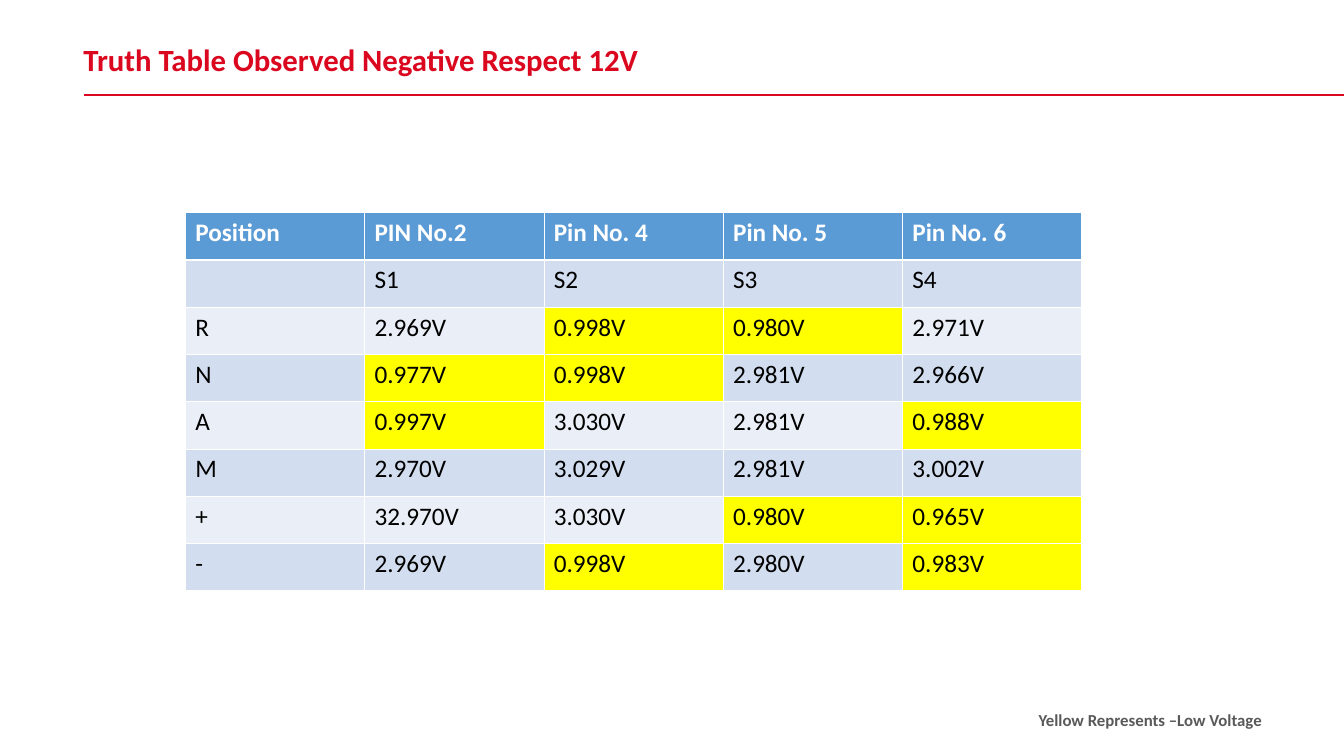
from lxml.etree import SubElement
from pptx import Presentation
from pptx.dml.color import RGBColor
from pptx.enum.shapes import MSO_CONNECTOR
from pptx.enum.text import MSO_ANCHOR, PP_ALIGN
from pptx.oxml.ns import qn
from pptx.util import Cm, Pt

TITLE = "Truth Table Observed Negative Respect 12V"
LEGEND = "Yellow Represents –Low Voltage"
READINGS = [
    ("Position", "PIN No.2", "Pin No. 4", "Pin No. 5", "Pin No. 6"),
    ("", "S1", "S2", "S3", "S4"),
    ("R", "2.969V", "0.998V", "0.980V", "2.971V"),
    ("N", "0.977V", "0.998V", "2.981V", "2.966V"),
    ("A", "0.997V", "3.030V", "2.981V", "0.988V"),
    ("M", "2.970V", "3.029V", "2.981V", "3.002V"),
    ("+", "32.970V", "3.030V", "0.980V", "0.965V"),
    ("-", "2.969V", "0.998V", "2.980V", "0.983V"),
]
COLORS = {
    "red": "DA071F",
    "header": "5B9BD5",
    "band_dark": "D2DEEF",
    "band_light": "EAEFF7",
    "low": "FFFF00",
    "white": "FFFFFF",
    "black": "000000",
    "gray": "595959",
}
COLUMN_WIDTH, ROW_HEIGHT = 4.52, 1.19
THIN, THICK = 0.45, 1.47


def rgb(name):
    return RGBColor.from_string(COLORS[name])


def write(frame, text, size, color, bold):
    frame.text = text
    paragraph = frame.paragraphs[0]
    paragraph.alignment = PP_ALIGN.LEFT
    for font in [paragraph.font] + [run.font for run in paragraph.runs]:
        font.name = "Calibri"
        font.size = Pt(size)
        font.bold = bold
        font.color.rgb = rgb(color)


def add_borders(cell, top, bottom):
    properties = cell._tc.get_or_add_tcPr()
    for side, width in (("L", THIN), ("R", THIN), ("T", top), ("B", bottom)):
        border = SubElement(properties, qn(f"a:ln{side}"), w=str(Pt(width)))
        fill = SubElement(border, qn("a:solidFill"))
        SubElement(fill, qn("a:srgbClr"), val=COLORS["white"])


def cell_color(row, text):
    if row == 0:
        return "header"
    if text.startswith("0."):
        return "low"
    return "band_dark" if row % 2 else "band_light"


def add_title(slide):
    title = slide.shapes.title
    title.left, title.top, title.width, title.height = Cm(1.85), Cm(0.91), Cm(17.35), Cm(1.19)
    title.text_frame.vertical_anchor = MSO_ANCHOR.TOP
    write(title.text_frame, TITLE, 22, "red", True)
    title.text_frame.paragraphs[0].line_spacing = 1.0

    rule = slide.shapes.add_connector(
        MSO_CONNECTOR.STRAIGHT, Cm(33.87), Cm(2.39), Cm(2.11), Cm(2.39))
    rule.line.color.rgb = rgb("red")
    rule.line.width = Pt(1.5)
    SubElement(rule._element.spPr, qn("a:effectLst"))


def add_readings(slide):
    rows, columns = len(READINGS), len(READINGS[0])
    table = slide.shapes.add_table(
        rows, columns, Cm(4.67), Cm(5.36),
        Cm(COLUMN_WIDTH * columns), Cm(ROW_HEIGHT * rows)).table
    for column in table.columns:
        column.width = Cm(COLUMN_WIDTH)
    for row, texts in enumerate(READINGS):
        table.rows[row].height = Cm(ROW_HEIGHT)
        is_header = row == 0
        for column, text in enumerate(texts):
            cell = table.cell(row, column)
            write(cell.text_frame, text, 18, "white" if is_header else "black", is_header)
            add_borders(cell, top=THICK if row == 1 else THIN,
                        bottom=THICK if is_header else THIN)
            cell.fill.solid()
            cell.fill.fore_color.rgb = rgb(cell_color(row, text))


def add_legend(slide):
    legend = slide.shapes.add_textbox(Cm(25.93), Cm(17.75), Cm(6.35), Cm(0.76))
    legend.text_frame.word_wrap = True
    write(legend.text_frame, LEGEND, 12, "gray", True)


def main():
    presentation = Presentation()
    presentation.slide_width, presentation.slide_height = Cm(33.88), Cm(19.05)
    slide = presentation.slides.add_slide(presentation.slide_layouts[5])
    add_title(slide)
    add_readings(slide)
    add_legend(slide)
    presentation.save("out.pptx")


if __name__ == "__main__":
    main()
